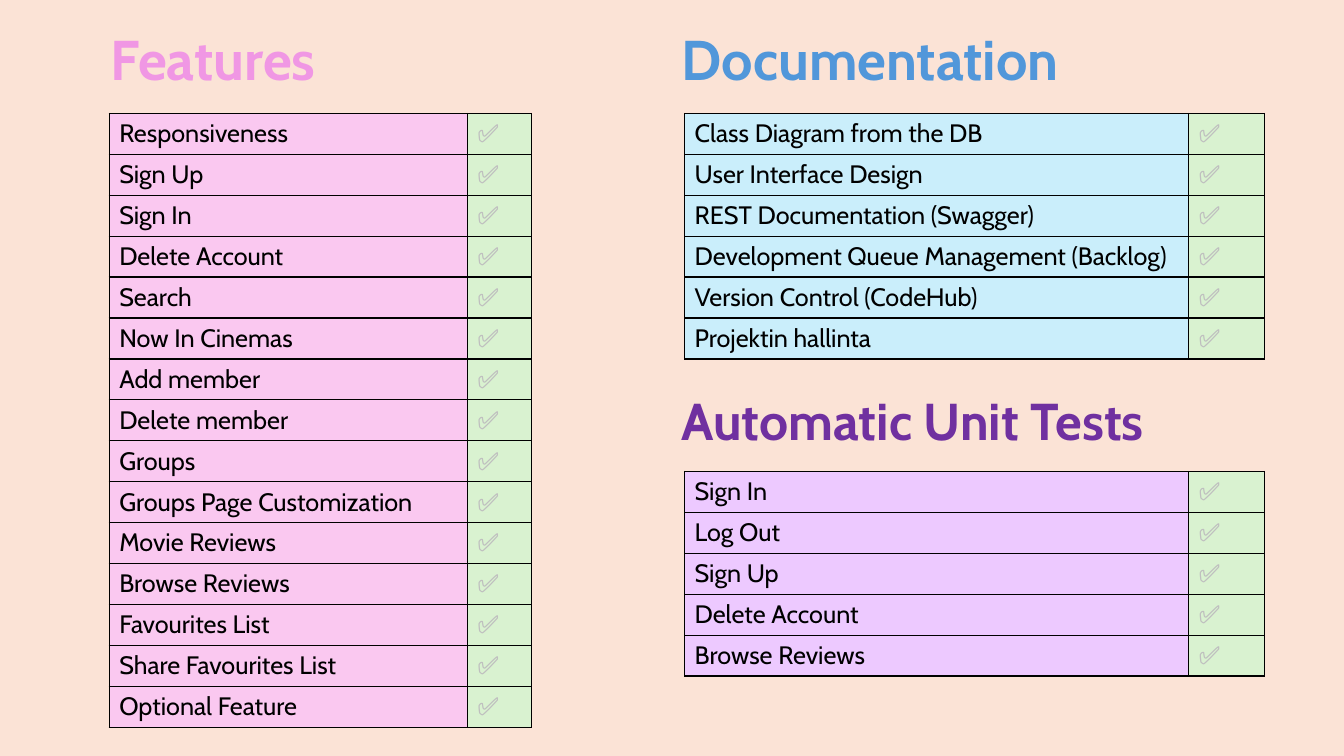
from dataclasses import dataclass

from lxml import etree
from pptx import Presentation
from pptx.dml.color import RGBColor
from pptx.enum.text import MSO_ANCHOR
from pptx.oxml.ns import qn
from pptx.util import Emu, Pt

MIDDLE = MSO_ANCHOR.MIDDLE
BLANK_LAYOUT = 6
EMU_PER_PX = 9525
ROW_HEIGHT = 39
HEADING_GAP = 1
CHECK = "✅"


@dataclass(frozen=True)
class Theme:
    font: str = "Cabin"
    background: str = "FBE3D6"
    text: str = "000000"
    border: str = "000000"
    check: str = "BFBFBF"
    check_fill: str = "D9F2D0"
    pink: str = "F097E4"
    pink_fill: str = "FAC8F0"
    blue: str = "5197DA"
    blue_fill: str = "CAEEFB"
    purple: str = "7030A0"
    purple_fill: str = "EDC9FF"
    heading_size: int = 40
    small_heading_size: int = 37
    body_size: int = 18
    border_width: int = 1


@dataclass(frozen=True)
class Checklist:
    """One heading with its table; box is the heading's left, top, width, height."""
    heading: str
    box: tuple
    table_inset: int
    columns: tuple
    heading_size: int
    colour: str
    fill: str
    items: tuple


THEME = Theme()

CHECKLISTS = (
    Checklist(
        "Features", (96, 12, 418, 95), 8, (341, 61),
        THEME.heading_size, THEME.pink, THEME.pink_fill,
        ("Responsiveness", "Sign Up", "Sign In", "Delete Account", "Search",
         "Now In Cinemas", "Add member", "Delete member", "Groups",
         "Groups Page Customization", "Movie Reviews", "Browse Reviews",
         "Favourites List", "Share Favourites List", "Optional Feature"),
    ),
    Checklist(
        "Documentation", (640, 12, 418, 95), 12, (480, 72),
        THEME.heading_size, THEME.blue, THEME.blue_fill,
        ("Class Diagram from the DB", "User Interface Design",
         "REST Documentation (Swagger)",
         "Development Queue Management (Backlog)",
         "Version Control (CodeHub)", "Projektin hallinta"),
    ),
    Checklist(
        "Automatic Unit Tests", (640, 359, 471, 89), 12, (480, 72),
        THEME.small_heading_size, THEME.purple, THEME.purple_fill,
        ("Sign In", "Log Out", "Sign Up", "Delete Account", "Browse Reviews"),
    ),
)


def px(length):
    return Emu(length * EMU_PER_PX)


def rgb(colour):
    return RGBColor.from_string(colour)


def style_paragraph(paragraph, size, colour, bold=False):
    font = paragraph.font
    font.name = THEME.font
    font.size = Pt(size)
    font.bold = bold
    font.color.rgb = rgb(colour)


def add_borders(cell):
    properties = cell._tc.get_or_add_tcPr()
    for side in ("a:lnL", "a:lnR", "a:lnT", "a:lnB"):
        line = etree.SubElement(properties, qn(side), w=str(Pt(THEME.border_width)))
        fill = etree.SubElement(line, qn("a:solidFill"))
        etree.SubElement(fill, qn("a:srgbClr"), val=THEME.border)


def fill_cell(cell, text, colour, fill):
    add_borders(cell)
    cell.fill.solid()
    cell.fill.fore_color.rgb = rgb(fill)
    cell.text = text
    style_paragraph(cell.text_frame.paragraphs[0], THEME.body_size, colour)


def add_heading(slide, checklist):
    text_box = slide.shapes.add_textbox(*map(px, checklist.box))
    frame = text_box.text_frame
    frame.word_wrap = True
    frame.vertical_anchor = MIDDLE
    paragraph = frame.paragraphs[0]
    paragraph.text = checklist.heading
    paragraph.line_spacing = 0.9
    style_paragraph(paragraph, checklist.heading_size, checklist.colour, bold=True)


def add_item_table(slide, checklist):
    left, top, _, height = checklist.box
    items, columns = checklist.items, checklist.columns
    table = slide.shapes.add_table(
        len(items), len(columns),
        px(left + checklist.table_inset), px(top + height + HEADING_GAP),
        px(sum(columns)), px(ROW_HEIGHT * len(items)),
    ).table
    table.first_row = False
    table.horz_banding = False
    for column, width in zip(table.columns, columns):
        column.width = px(width)
    for row, item in zip(table.rows, items):
        row.height = px(ROW_HEIGHT)
        item_cell, check_cell = row.cells
        fill_cell(item_cell, item, THEME.text, checklist.fill)
        fill_cell(check_cell, CHECK, THEME.check, THEME.check_fill)


def main():
    presentation = Presentation()
    presentation.slide_width = px(1280)
    presentation.slide_height = px(720)
    slide = presentation.slides.add_slide(presentation.slide_layouts[BLANK_LAYOUT])
    slide.background.fill.solid()
    slide.background.fill.fore_color.rgb = rgb(THEME.background)
    for checklist in CHECKLISTS:
        add_heading(slide, checklist)
        add_item_table(slide, checklist)
    presentation.save("out.pptx")


if __name__ == "__main__":
    main()
